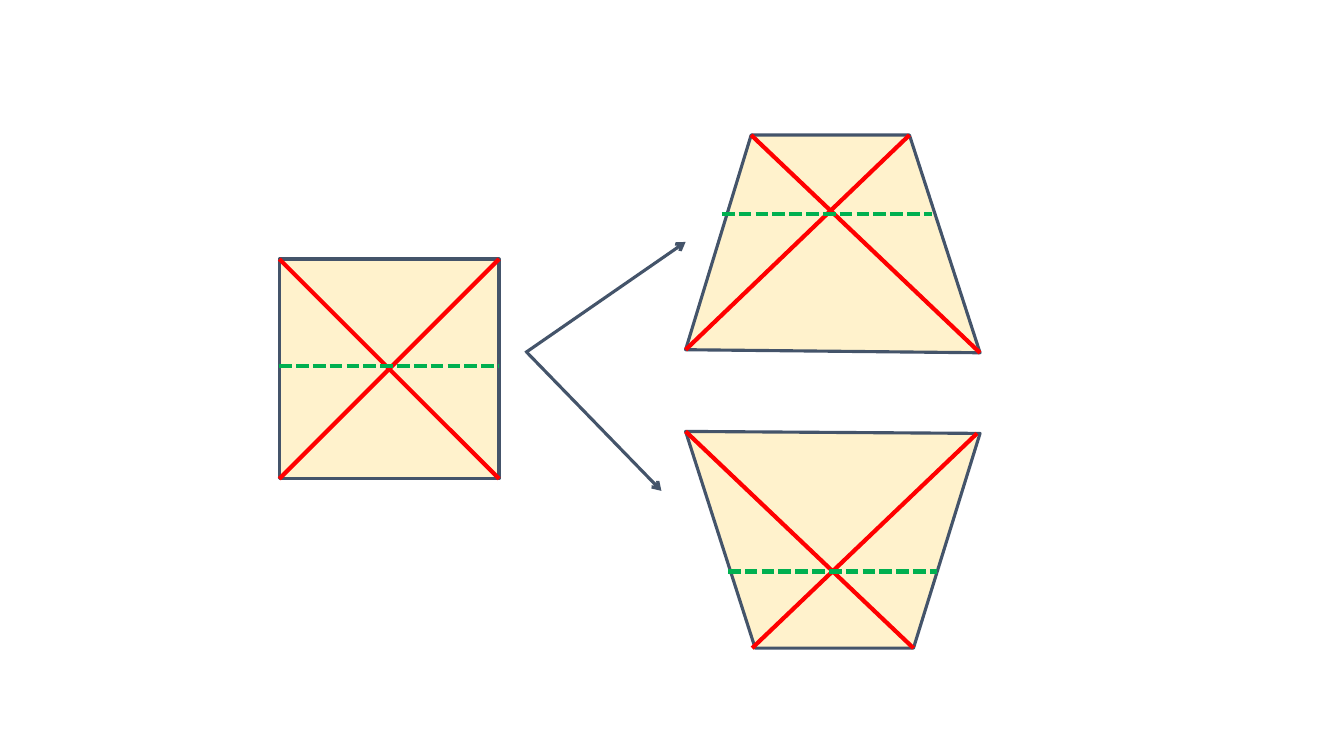
from dataclasses import dataclass

from lxml import etree
from pptx import Presentation
from pptx.dml.color import RGBColor
from pptx.enum import dml, shapes
from pptx.oxml import ns
from pptx.util import Emu, Pt

PX = 9144  # EMU per px, 100 px to the inch


@dataclass(frozen=True)
class Theme:
    fill: str = "FFF2CC"
    edge: str = "44546A"
    cross: str = "FF0000"
    level: str = "00B050"
    thin: float = 2.25
    thick: float = 3


THEME = Theme()


def px(n):
    return Emu(n * PX)


def ink(line, color, width):
    line.color.rgb = RGBColor.from_string(color)
    line.width = Pt(width)


def paint(shape):
    shape.shadow.inherit = False
    shape.fill.solid()
    shape.fill.fore_color.rgb = RGBColor.from_string(THEME.fill)
    ink(shape.line, THEME.edge, THEME.thin)


def square(slide, left, top, side):
    paint(slide.shapes.add_shape(shapes.MSO_SHAPE.RECTANGLE,
                                 px(left), px(top), px(side), px(side)))


def outline(slide, points):
    pen = slide.shapes.build_freeform(*points[0], scale=PX)
    pen.add_line_segments(points[1:], close=True)
    paint(pen.convert_to_shape())


def stroke(slide, start, end, color, width, dash=False, arrow=False):
    link = slide.shapes.add_connector(shapes.MSO_CONNECTOR.STRAIGHT,
                                      *map(px, start + end))
    ink(link.line, color, width)
    if dash:
        link.line.dash_style = dml.MSO_LINE.SQUARE_DOT
    if arrow:
        tail = etree.SubElement(link.line._get_or_add_ln(), ns.qn("a:tailEnd"))
        tail.set("type", "arrow")
    etree.SubElement(link._element.spPr, ns.qn("a:effectLst"))


def cross(slide, corners):
    """Join opposite corners, given clockwise from the top left."""
    for start, end in zip(corners[:2], corners[2:]):
        stroke(slide, start, end, THEME.cross, THEME.thick)


def level(slide, left, right, y):
    stroke(slide, (left, y), (right, y), THEME.level, THEME.thick, dash=True)


def arrow(slide, start, end):
    stroke(slide, start, end, THEME.edge, THEME.thin, arrow=True)


def main():
    deck = Presentation()
    deck.slide_width, deck.slide_height = px(1333), px(750)
    slide = deck.slides.add_slide(deck.slide_layouts[6])

    # Square
    left, top, side = 277, 257, 218
    right, base = left + side, top + side
    square(slide, left, top, side)
    cross(slide, [(left, top), (right, top), (right, base), (left, base)])
    level(slide, left, right, 363)

    # Upper trapezoid, narrow at the top
    upper = [(745, 134), (902, 134), (972, 350), (680, 347)]
    outline(slide, upper)
    cross(slide, upper)
    level(slide, 716, 924, 212)

    # Lower trapezoid, narrow at the base
    outline(slide, [(680, 428), (972, 430), (906, 643), (749, 643)])
    cross(slide, [(680, 428), (969, 430), (906, 643), (746, 643)])
    level(slide, 722, 929, 567)

    # Arrows from the square to both trapezoids
    arrow(slide, (521, 350), (680, 240))
    arrow(slide, (523, 350), (656, 487))

    deck.save("out.pptx")


if __name__ == "__main__":
    main()
